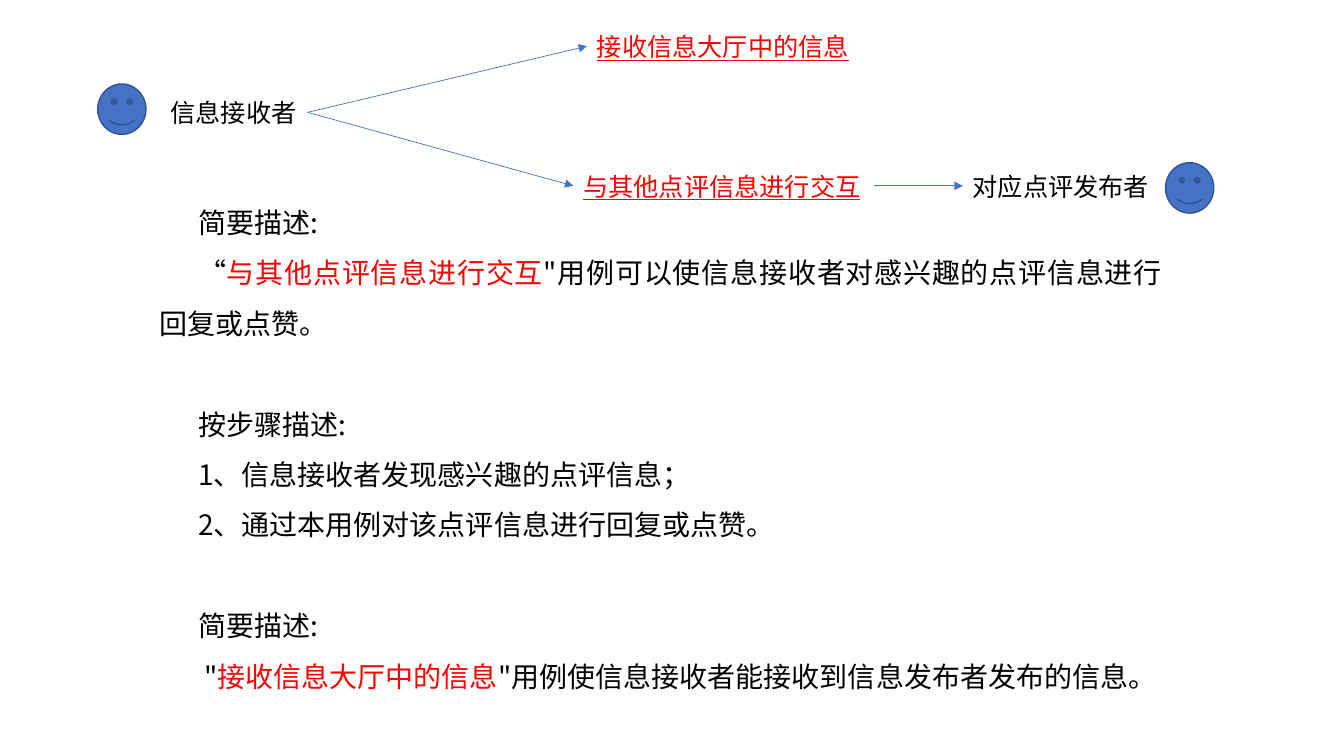
from lxml.etree import SubElement
from pptx import Presentation
from pptx.dml.color import RGBColor
from pptx.enum.shapes import MSO_CONNECTOR as CONNECTOR, MSO_SHAPE as SHAPE
from pptx.enum.text import MSO_ANCHOR as ANCHOR, MSO_AUTO_SIZE as AUTO_SIZE, PP_ALIGN as ALIGN
from pptx.oxml.ns import qn
from pptx.util import Pt

PX = 9525
FONT = "Noto Sans CJK SC"
BLACK, RED, BLUE, DARK_BLUE = "000000", "FF0000", "4472C4", "325491"
RIGHT, LEFT = 3, 1
FACE_W, FACE_H = 46, 48
LABEL_H = 38
HALL = "接收信息大厅中的信息"
INTERACT = "与其他点评信息进行交互"

DESCRIPTION = [
    (["简要描述:"], 0),
    (["“", INTERACT, "\"用例可以使信息接收者对感兴趣的点评信息进行回复或点赞。"], 0),
    (["按步骤描述:"], 36),
    (["1、信息接收者发现感兴趣的点评信息；"], 0),
    (["2、通过本用例对该点评信息进行回复或点赞。"], 0),
    (["简要描述:"], 36),
    ([" \"", HALL, "\"用例使信息接收者能接收到信息发布者发布的信息。"], 0),
]


def px(*lengths):
    """Turn px lengths into EMU."""
    return [length * PX for length in lengths]


def colour(value):
    """Turn a hex string into a colour."""
    return RGBColor.from_string(value)


def set_font(paragraph, size, ink):
    """Give a paragraph its font for Latin and East Asian text."""
    font = paragraph.font
    font.name, font.size = FONT, Pt(size)
    font.color.rgb = colour(ink)
    properties = paragraph._p.pPr.find(qn("a:defRPr"))
    SubElement(properties, qn("a:ea"), typeface=FONT)
    return font


def add_label(slide, text, left, top, width, ink=BLACK, underline=False):
    """Place a one-line label of the diagram."""
    label = slide.shapes.add_textbox(*px(left, top, width, LABEL_H))
    frame = label.text_frame
    frame.word_wrap = False
    frame.auto_size = AUTO_SIZE.SHAPE_TO_FIT_TEXT
    line = frame.paragraphs[0]
    line.text = text
    set_font(line, 18, ink).underline = underline
    return label


def add_arrow(slide, source, target):
    """Join the right side of one label to the left side of another."""
    arrow = slide.shapes.add_connector(CONNECTOR.STRAIGHT, 0, 0, 0, 0)
    arrow.begin_connect(source, RIGHT)
    arrow.end_connect(target, LEFT)
    arrow.line.color.rgb = colour(BLUE)
    arrow.line.width = Pt(0.5)
    SubElement(arrow.line._get_or_add_ln(), qn("a:tailEnd"), type="triangle")
    SubElement(arrow._element.spPr, qn("a:effectLst"))


def add_face(slide, left, top):
    """Draw the smiley that stands for an actor."""
    face = slide.shapes.add_shape(SHAPE.SMILEY_FACE, *px(left, top, FACE_W, FACE_H))
    face.shadow.inherit = False
    face.fill.solid()
    face.fill.fore_color.rgb = colour(BLUE)
    face.line.color.rgb = colour(DARK_BLUE)
    face.line.width = Pt(1)


def add_use_cases(slide, left, top):
    """Draw the use case diagram with its two actors."""
    add_face(slide, left, top + 55)
    add_face(slide, left + 1017, top + 130)
    receiver = add_label(slide, "信息接收者", left + 60, top + 63, 140)
    hall = add_label(slide, HALL, left + 466, top, 262, RED, True)
    interact = add_label(slide, INTERACT, left + 453, top + 133, 286, RED, True)
    publisher = add_label(slide, "对应点评发布者", left + 824, top + 133, 189)
    for source, target in [(receiver, hall), (receiver, interact), (interact, publisher)]:
        add_arrow(slide, source, target)


def fill_description(body, left, top, width, height):
    """Write the use case descriptions into the body placeholder."""
    body.left, body.top, body.width, body.height = px(left, top, width, height)
    frame = body.text_frame
    frame.word_wrap = True
    frame.auto_size = AUTO_SIZE.NONE
    frame.vertical_anchor = ANCHOR.TOP
    for index, (parts, gap) in enumerate(DESCRIPTION):
        line = frame.add_paragraph() if index else frame.paragraphs[0]
        line.alignment = ALIGN.JUSTIFY
        line.line_spacing = 1.5
        line.space_before, line.space_after = Pt(gap), Pt(0)
        properties = line._p.get_or_add_pPr()
        properties.set("marL", "0")
        properties.set("indent", str(37 * PX))
        SubElement(properties, qn("a:buNone"))
        set_font(line, 20, BLACK)
        for part in parts:
            run = line.add_run()
            run.text = part
            if part in (HALL, INTERACT):
                run.font.color.rgb = colour(RED)


def main():
    """Build the slide and save it."""
    deck = Presentation()
    deck.slide_width, deck.slide_height = px(1280, 720)
    slide = deck.slides.add_slide(deck.slide_layouts[1])
    title = slide.shapes.title._element
    title.getparent().remove(title)
    add_use_cases(slide, 93, 25)
    fill_description(slide.placeholders[1], 142, 175, 974, 490)
    deck.save("out.pptx")


if __name__ == "__main__":
    main()
